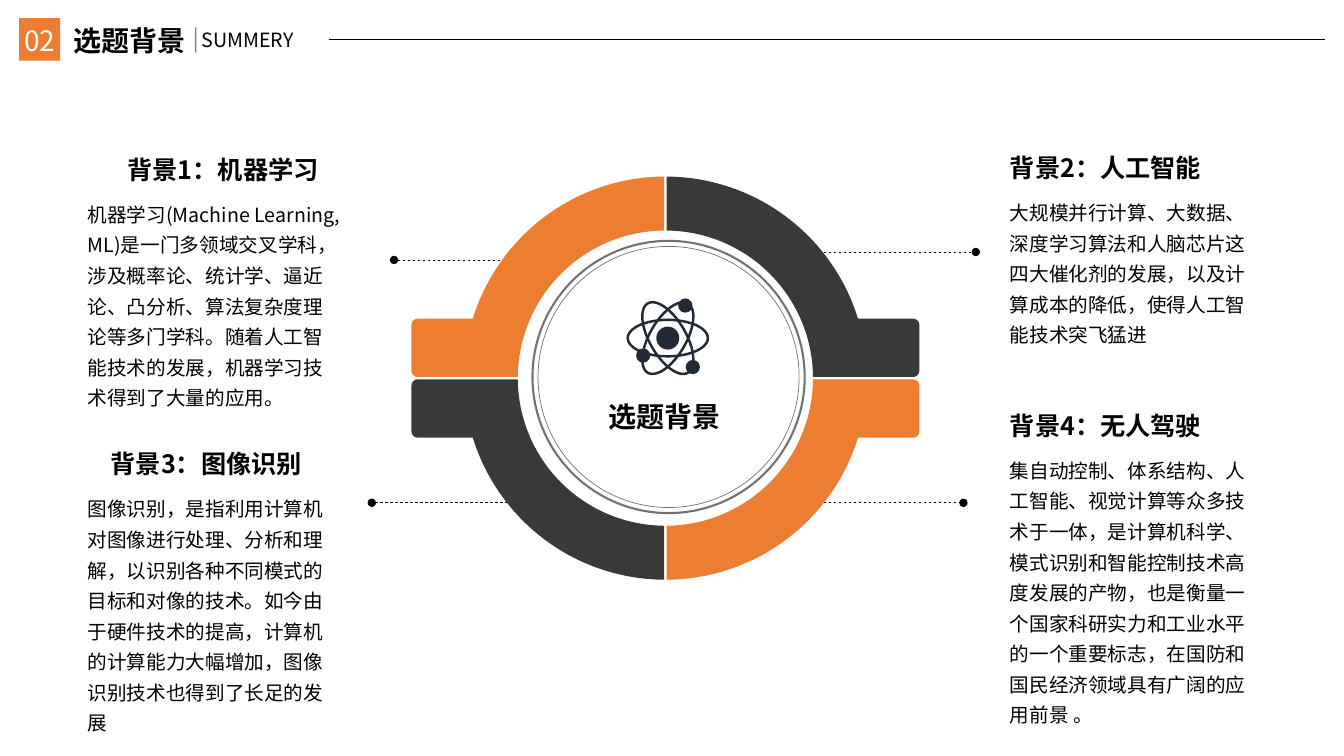
import math
from dataclasses import dataclass

import pptx
import pptx.dml.color
import pptx.enum.dml
import pptx.enum.shapes
import pptx.enum.text
import pptx.oxml.ns
import pptx.util
from lxml import etree
from pptx.util import Cm, Pt

ALIGN = pptx.enum.text.PP_ALIGN
ANCHOR = pptx.enum.text.MSO_ANCHOR
SHAPE = pptx.enum.shapes.MSO_SHAPE
qn = pptx.oxml.ns.qn


@dataclass(frozen=True)
class Theme:
    font: str = "Noto Sans CJK SC"
    orange: str = "ED7D31"
    dark: str = "3B3838"
    grey: str = "767171"
    navy: str = "222A35"
    black: str = "000000"
    white: str = "FFFFFF"
    title: int = 20
    heading: int = 18
    body: int = 14


THEME = Theme()

# heading text, heading left, heading top, alignment, body left, body text
TOPICS = [
    ("背景1：机器学习", 1.96, 3.76, ALIGN.RIGHT, 1.96,
     "机器学习(Machine Learning, ML)是一门多领域交叉学科，涉及概率论、统计学、逼近论、"
     "凸分析、算法复杂度理论等多门学科。随着人工智能技术的发展，机器学习技术得到了大量的应用。"),
    ("背景3：图像识别", 2.54, 11.18, ALIGN.LEFT, 1.96,
     "图像识别，是指利用计算机对图像进行处理、分析和理解，以识别各种不同模式的目标和对像的技术。"
     "如今由于硬件技术的提高，计算机的计算能力大幅增加，图像识别技术也得到了长足的发展"),
    ("背景4：无人驾驶", 25.2, 10.21, ALIGN.LEFT, 25.2,
     "集自动控制、体系结构、人工智能、视觉计算等众多技术于一体，是计算机科学、模式识别和智能控制"
     "技术高度发展的产物，也是衡量一个国家科研实力和工业水平的一个重要标志，在国防和国民经济领域"
     "具有广阔的应用前景 。"),
    ("背景2：人工智能", 25.2, 3.71, ALIGN.LEFT, 25.2,
     "大规模并行计算、大数据、深度学习算法和人脑芯片这四大催化剂的发展，以及计算成本的降低，"
     "使得人工智能技术突飞猛进"),
]
# ring end x, dot x, y
LEADERS = [(20, 24.59, 6.35), (20, 24.28, 12.67), (13.87, 9.93, 6.55), (14.05, 9.37, 12.67)]
# horizontal side, vertical side, colour
QUADRANTS = [(1, 1, THEME.orange), (-1, -1, THEME.orange),
             (1, -1, THEME.dark), (-1, 1, THEME.dark)]
ELECTRONS = [(17.27, 7.7), (16.21, 8.96), (17.46, 9.25)]


def rgb(colour):
    return pptx.dml.color.RGBColor.from_string(colour)


def apply(target, values):
    for name, value in values.items():
        setattr(target, name, value)


def paint(shape, fill=None, outline=None, weight=1):
    shape.shadow.inherit = False
    if fill:
        shape.fill.solid()
        shape.fill.fore_color.rgb = rgb(fill)
    else:
        shape.fill.background()
    if outline:
        shape.line.color.rgb = rgb(outline)
        shape.line.width = Pt(weight)
    else:
        shape.line.fill.background()


def add_text(slide, text, left, top, width, height, size, *, colour=THEME.black,
             bold=False, align=ALIGN.LEFT, anchor=ANCHOR.TOP, wrap=True, spacing=None):
    box = slide.shapes.add_textbox(Cm(left), Cm(top), Cm(width), Cm(height))
    apply(box.text_frame, {"word_wrap": wrap, "vertical_anchor": anchor,
                           "auto_size": pptx.enum.text.MSO_AUTO_SIZE.SHAPE_TO_FIT_TEXT})
    paragraph = box.text_frame.paragraphs[0]
    apply(paragraph, {"alignment": align, "line_spacing": spacing})
    run = paragraph.add_run()
    run.text = text
    apply(run.font, {"name": THEME.font, "size": Pt(size), "bold": bold})
    run.font.color.rgb = rgb(colour)
    etree.SubElement(run.font._element, qn("a:ea"), typeface=THEME.font)


def add_line(slide, start, end, weight=0.5, alpha=None, dotted_end=False):
    """Draw a black rule; dotted_end makes it a dashed leader with a round tip."""
    rule = slide.shapes.add_connector(pptx.enum.shapes.MSO_CONNECTOR.STRAIGHT,
                                      *map(Cm, (*start, *end)))
    rule.line.color.rgb = rgb(THEME.black)
    rule.line.width = Pt(weight)
    properties = rule._element.spPr
    if alpha:
        etree.SubElement(next(properties.iter(qn("a:srgbClr"))), qn("a:alpha"),
                         val=str(alpha * 1000))
    if dotted_end:
        rule.line.dash_style = pptx.enum.dml.MSO_LINE.DASH
        etree.SubElement(properties.find(qn("a:ln")), qn("a:tailEnd"), type="oval")
    etree.SubElement(properties, qn("a:effectLst"))


def add_oval(slide, centre, radius_x, radius_y, rotation=0, **look):
    x, y = centre
    oval = slide.shapes.add_shape(SHAPE.OVAL, Cm(x - radius_x), Cm(y - radius_y),
                                  Cm(2 * radius_x), Cm(2 * radius_y))
    oval.rotation = rotation
    paint(oval, **look)


def arc(x, y, radius, first, last, steps):
    angles = [math.radians(first + (last - first) * i / steps) for i in range(steps + 1)]
    return [(x + radius * math.cos(a), y + radius * math.sin(a)) for a in angles]


def add_quadrant(slide, side_x, side_y, colour):
    """Draw a quarter ring with a rounded tab, mirrored to its side."""
    centre_x, centre_y = 16.77, 9.53
    outer, inner, reach, tab, gap, corner = 5.08, 3.72, 6.4, 1.5, 0.03, 0.16
    tab_angle = math.degrees(math.asin(tab / outer))
    outline = [
        *arc(reach - corner, gap + corner, corner, -90, 0, 6),
        *arc(reach - corner, tab - corner, corner, 0, 90, 6),
        *arc(0, 0, outer, tab_angle, 90, 40),
        *arc(0, 0, inner, 90, 0, 40),
    ]
    points = [(Cm(centre_x + side_x * max(x, gap)), Cm(centre_y + side_y * max(y, gap)))
              for x, y in outline]
    builder = slide.shapes.build_freeform(*points[0])
    builder.add_line_segments(points[1:], close=True)
    paint(builder.convert_to_shape(), fill=colour)


def add_atom(slide):
    nucleus = (16.83, 8.52)
    for rotation in (0, 60, 120):
        add_oval(slide, nucleus, 1.01, 0.46, rotation, outline=THEME.navy, weight=1.75)
    add_oval(slide, nucleus, 0.29, 0.29, fill=THEME.navy)
    for electron in ELECTRONS:
        add_oval(slide, electron, 0.18, 0.18, fill=THEME.navy)


def add_header(slide):
    add_text(slide, "选题背景", 1.6, 0.46, 3.51, 1.12, THEME.title, bold=True,
             anchor=ANCHOR.MIDDLE)
    add_text(slide, "SUMMERY", 4.83, 0.58, 3.05, 0.86, THEME.body, wrap=False)
    badge = slide.shapes.add_shape(SHAPE.RECTANGLE, Cm(0.48), Cm(0.46), Cm(1.04), Cm(1.07))
    paint(badge, fill=THEME.orange)
    add_text(slide, "02", -0.2, 0.46, 2.41, 1.12, THEME.title, colour=THEME.white,
             align=ALIGN.CENTER, anchor=ANCHOR.MIDDLE)
    add_line(slide, (8.28, 1), (33.38, 1))
    add_line(slide, (4.93, 0.69), (4.93, 1.32), weight=1, alpha=49)


def add_emblem(slide):
    for ring_x, dot_x, y in LEADERS:
        add_line(slide, (ring_x, y), (dot_x, y), dotted_end=True)
    for quadrant in QUADRANTS:
        add_quadrant(slide, *quadrant)
    add_text(slide, "选题背景", 15.09, 9.93, 3.51, 1.12, THEME.title, bold=True,
             anchor=ANCHOR.MIDDLE)
    add_atom(slide)
    for radius, weight in ((3.43, 1.5), (3.29, 0.5)):
        add_oval(slide, (16.85, 9.5), radius, radius, outline=THEME.grey, weight=weight)


def add_topic(slide, heading, left, top, align, body_left, body):
    add_text(slide, heading, left, top, 6.32, 1.02, THEME.heading, bold=True, align=align)
    add_text(slide, body, body_left, top + 1.05, 6.91, 5.6, THEME.body, spacing=1.3)


def main():
    deck = pptx.Presentation()
    apply(deck, {"slide_width": Cm(33.87), "slide_height": Cm(19.05)})
    slide = deck.slides.add_slide(deck.slide_layouts[6])
    add_header(slide)
    add_emblem(slide)
    for topic in TOPICS:
        add_topic(slide, *topic)
    deck.save("out.pptx")


if __name__ == "__main__":
    main()
